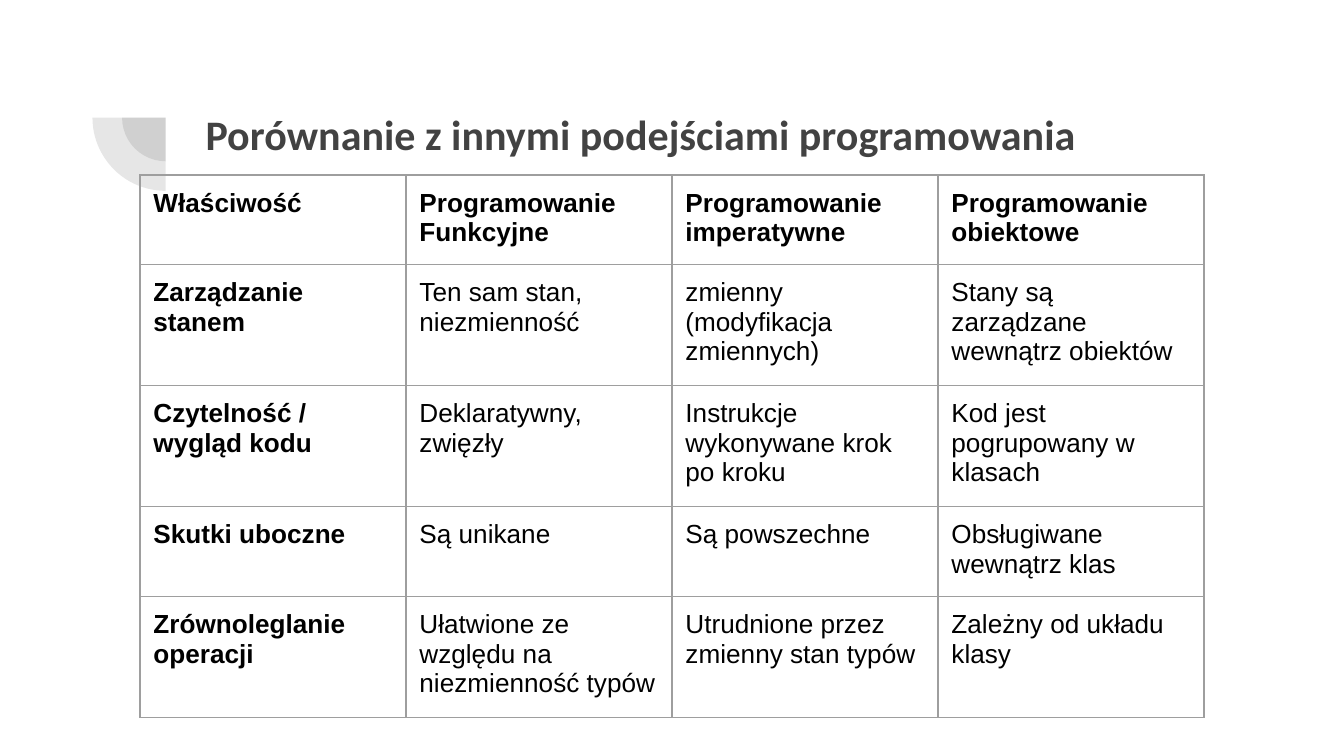
"""Build a slide comparing functional, imperative and object-oriented programming."""
from dataclasses import dataclass

from lxml import etree
from pptx import Presentation
from pptx.dml.color import RGBColor
from pptx.enum import shapes, text
from pptx.oxml import ns
from pptx.util import Pt

TITLE = "Porównanie z innymi podejściami programowania"
ROWS = [
    ("Właściwość", "Programowanie Funkcyjne", "Programowanie imperatywne", "Programowanie obiektowe"),
    ("Zarządzanie stanem", "Ten sam stan, niezmienność", "zmienny (modyfikacja zmiennych)",
     "Stany są zarządzane wewnątrz obiektów"),
    ("Czytelność / wygląd kodu", "Deklaratywny, zwięzły", "Instrukcje wykonywane krok po kroku",
     "Kod jest pogrupowany w klasach"),
    ("Skutki uboczne", "Są unikane", "Są powszechne", "Obsługiwane wewnątrz klas"),
    ("Zrównoleglanie operacji", "Ułatwione ze względu na niezmienność typów",
     "Utrudnione przez zmienny stan typów", "Zależny od układu klasy"),
]
ROW_HEIGHTS = [34.5, 46.8, 46.8, 34.5, 46.8]
COLUMN_WIDTH = 142.5
TABLE_LEFT, TABLE_TOP = 75, 93.75
PIE_CENTRE = (88.8, 63)
PIE_DIAMETERS = [46.8, 78.5]
INSET = 7.2


@dataclass(frozen=True)
class Theme:
    dark: str = "424242"
    black: str = "000000"
    border: str = "9E9E9E"
    title_font: str = "Calibri"
    body_font: str = "Arial"
    title_size: float = 22.5
    body_size: float = 14
    border_width: float = 0.75
    pie_alpha: int = 13


THEME = Theme()


def style(p, name, size, color, bold):
    p.font.name = name
    p.font.size = Pt(size)
    p.font.bold = bold
    p.font.color.rgb = RGBColor.from_string(color)


def set_insets(box):
    box.margin_left = box.margin_right = box.margin_top = box.margin_bottom = Pt(INSET)


def add_pie(slide, diameter):
    left, top = (c - diameter / 2 for c in PIE_CENTRE)
    sp = slide.shapes.add_shape(shapes.MSO_SHAPE.PIE, Pt(left), Pt(top), Pt(diameter), Pt(diameter))
    sp.adjustments[0], sp.adjustments[1] = 108, 162
    sp.rotation = 270
    sp.shadow.inherit = False
    sp.line.fill.background()
    sp.fill.solid()
    sp.fill.fore_color.rgb = RGBColor.from_string(THEME.dark)
    color = sp.fill._xPr.find(".//" + ns.qn("a:srgbClr"))
    etree.SubElement(color, ns.qn("a:alpha"), val=str(THEME.pie_alpha * 1000))


def add_title(slide):
    tf = slide.shapes.add_textbox(Pt(103), Pt(46.8), Pt(553.7), Pt(78.5)).text_frame
    tf.word_wrap = True
    tf.vertical_anchor = text.MSO_ANCHOR.TOP
    set_insets(tf)
    p = tf.paragraphs[0]
    p.text = TITLE
    p.line_spacing = 1.15
    p.space_after = Pt(12)
    style(p, THEME.title_font, THEME.title_size, THEME.dark, True)


def add_borders(cell):
    props = cell._tc.get_or_add_tcPr()
    for i, side in enumerate(("lnL", "lnR", "lnT", "lnB")):
        line = etree.Element(ns.qn("a:" + side), w=str(Pt(THEME.border_width)))
        fill = etree.SubElement(line, ns.qn("a:solidFill"))
        etree.SubElement(fill, ns.qn("a:srgbClr"), val=THEME.border)
        props.insert(i, line)


def add_comparison(slide):
    columns = len(ROWS[0])
    table = slide.shapes.add_table(len(ROWS), columns, Pt(TABLE_LEFT), Pt(TABLE_TOP),
                                   Pt(columns * COLUMN_WIDTH), Pt(sum(ROW_HEIGHTS))).table
    table.first_row = table.horz_banding = False
    for column in table.columns:
        column.width = Pt(COLUMN_WIDTH)
    for r, (height, values) in enumerate(zip(ROW_HEIGHTS, ROWS)):
        table.rows[r].height = Pt(height)
        for c, value in enumerate(values):
            cell = table.cell(r, c)
            cell.fill.background()
            set_insets(cell)
            add_borders(cell)
            p = cell.text_frame.paragraphs[0]
            p.text = value
            style(p, THEME.body_font, THEME.body_size, THEME.black, r == 0 or c == 0)


def main():
    prs = Presentation()
    prs.slide_width, prs.slide_height = Pt(720), Pt(405)
    slide = prs.slides.add_slide(prs.slide_layouts[6])
    for diameter in PIE_DIAMETERS:
        add_pie(slide, diameter)
    add_title(slide)
    add_comparison(slide)
    prs.save("out.pptx")


if __name__ == "__main__":
    main()
